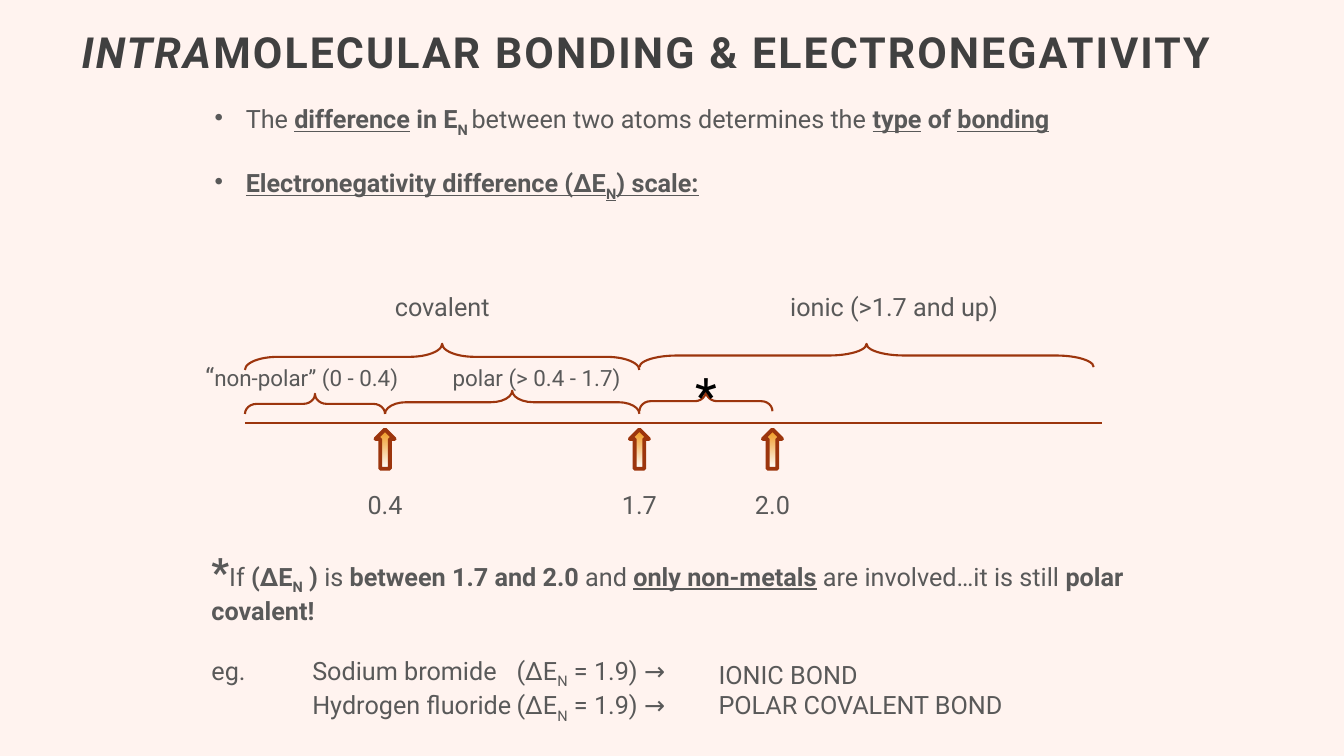
"""Builds a slide on electronegativity difference and bond type."""
from pptx import Presentation
from pptx.dml.color import RGBColor
from pptx.enum.shapes import MSO_CONNECTOR as Connector, MSO_SHAPE as Shape
from pptx.enum.text import MSO_ANCHOR as Anchor, MSO_AUTO_SIZE as AutoSize, PP_ALIGN as Align
from pptx.oxml.ns import qn
from pptx.util import Inches, Pt
from lxml.etree import SubElement

COLORS = {
    "background": "FFF3EF",
    "title": "404040",
    "text": "595959",
    "star": "000000",
    "line": "9C350D",
    "glow": "EF9316",
    "white": "FFFFFF",
}
COLUMNS, ROWS = 40, 22.5
BOLD = {"bold": True}
MARKED = {"bold": True, "underline": True}
SUBSCRIPT = {"baseline": -25}


def color(name):
    """Return the named colour."""
    return RGBColor.from_string(COLORS[name])


def write(paragraph, text, size=18, tint="text", bold=False, italic=False,
          underline=False, baseline=0, spacing=0):
    """Add one formatted run of text to a paragraph."""
    run = paragraph.add_run()
    run.text = text
    font = run.font
    font.name, font.size = "Roboto", Pt(size)
    font.bold, font.italic, font.underline = bold, italic, underline
    font.color.rgb = color(tint)
    properties = run._r.get_or_add_rPr()
    if baseline:
        properties.set("baseline", str(baseline * 1000))
    if spacing:
        properties.set("spc", str(int(spacing * 100)))


class SlideBuilder:
    """Draws styled elements on a slide measured in grid cells."""

    def __init__(self, presentation):
        """Add a title-only slide with a plain background."""
        self.column = presentation.slide_width / COLUMNS
        self.row = presentation.slide_height / ROWS
        self.slide = presentation.slides.add_slide(presentation.slide_layouts[5])
        fill = self.slide.background.fill
        fill.solid()
        fill.fore_color.rgb = color("background")

    def place(self, left, top, width, height):
        """Turn grid cells into slide lengths."""
        return (round(left * self.column), round(top * self.row),
                round(width * self.column), round(height * self.row))

    def title(self, runs, *cells):
        """Place and fill the title placeholder."""
        title = self.slide.shapes.title
        title.left, title.top, title.width, title.height = self.place(*cells)
        frame = title.text_frame
        frame.word_wrap, frame.auto_size = True, AutoSize.NONE
        frame.vertical_anchor = Anchor.MIDDLE
        paragraph = frame.paragraphs[0]
        paragraph.alignment, paragraph.line_spacing = Align.LEFT, 0.9
        for text, style in runs:
            write(paragraph, text, size=30.6, tint="title", bold=True, spacing=1.5, **style)

    def text(self, paragraphs, *cells, align=Align.LEFT, bullet=False, gaps=(), tabs=()):
        """Add a text box; gaps maps paragraph numbers to space before."""
        frame = self.slide.shapes.add_textbox(*self.place(*cells)).text_frame
        frame.word_wrap = True
        for number, runs in enumerate(paragraphs):
            paragraph = frame.paragraphs[0] if number == 0 else frame.add_paragraph()
            properties = paragraph._p.get_or_add_pPr()
            if bullet:
                properties.set("marL", str(Inches(0.31)))
                properties.set("indent", str(-Inches(0.31)))
                SubElement(properties, qn("a:buChar")).set("char", "•")
            if tabs:
                stops = SubElement(properties, qn("a:tabLst"))
                for stop in tabs:
                    position = str(round(stop * self.column))
                    SubElement(stops, qn("a:tab"), pos=position, algn="l")
            paragraph.alignment = align
            if number in gaps:
                paragraph.space_before = Pt(gaps[number])
            for text, style in runs:
                write(paragraph, text, **style)

    def label(self, text, center, top, width, **style):
        """Add a one-line centred label."""
        self.text([[(text, style)]], center - width / 2, top, width, 1.2, align=Align.CENTER)

    def axis(self, start, end, row):
        """Draw the horizontal scale line."""
        left, top, right, _ = self.place(start, row, end, 0)
        line = self.slide.shapes.add_connector(Connector.STRAIGHT, left, top, right, top)
        line.line.color.rgb, line.line.width = color("line"), Pt(1.5)
        SubElement(line._element.spPr, qn("a:effectLst"))

    def outlined(self, kind, weight, *cells):
        """Add a preset shape with the accent outline."""
        shape = self.slide.shapes.add_shape(kind, *self.place(*cells))
        shape.shadow.inherit = False
        shape.line.color.rgb, shape.line.width = color("line"), Pt(weight)
        return shape

    def brace(self, start, end, middle, depth):
        """Draw an upward brace over a range of columns."""
        span = end - start
        brace = self.outlined(Shape.RIGHT_BRACE, 1.5, (start + end - depth) / 2,
                              middle - span / 2, depth, span)
        brace.rotation = 270
        brace.fill.background()
        brace.adjustments[0] = span / depth / 12

    def arrow(self, center, top):
        """Draw an upward arrow that fades to white."""
        arrow = self.outlined(Shape.UP_ARROW, 2.75, center - 0.285, top, 0.57, 1.17)
        arrow.fill.gradient()
        arrow.fill.gradient_angle = 270
        for stop, name in zip(arrow.fill.gradient_stops, ("glow", "white")):
            stop.color.rgb = color(name)


def main():
    """Build and save the slide."""
    presentation = Presentation()
    presentation.slide_width, presentation.slide_height = Inches(13.333), Inches(7.5)
    builder = SlideBuilder(presentation)

    builder.title([("INTRA", {"italic": True}),
                   ("MOLECULAR BONDING & ELECTRONEGATIVITY", {})], 2.13, 0.69, 36.3, 1.86)
    builder.text([
        [("The ", {}), ("difference", MARKED), (" in E", BOLD), ("N ", BOLD | SUBSCRIPT),
         ("between two atoms determines the ", {}), ("type", MARKED), (" of ", BOLD),
         ("bonding", MARKED)],
        [("Electronegativity difference (ΔE", MARKED), ("N", MARKED | SUBSCRIPT),
         (") scale:", MARKED)],
    ], 6.09, 2.94, 26.7, 3.03, bullet=True, gaps={1: 21})

    zero, weak, strong, limit, end = 7.29, 11.46, 19.03, 22.99, 32.8
    builder.axis(zero, end, 12.6)
    for start, stop, middle, depth in ((zero, weak, 12.02, 0.6), (weak, strong, 11.97, 0.69),
                                       (strong, end - 0.25, 10.58, 0.69),
                                       (zero, strong, 10.62, 0.78),
                                       (strong, limit, 11.94, 0.6)):
        builder.brace(start, stop, middle, depth)

    builder.label("covalent", 13.16, 8.52, 6.4)
    builder.label("ionic (>1.7 and up)", 26.61, 8.52, 7.92)
    builder.text([[("“", {}), ("non-polar” (0 - 0.4)", {"size": 16})]],
                 5.49, 10.62, 6.99, 1.2, align=Align.CENTER)
    builder.label("polar (> 0.4 - 1.7)", 15.97, 10.68, 7.29, size=16)
    builder.label("*", 21.01, 10.68, 6.4, size=36, tint="star")
    for value, center in (("0.4", weak), ("1.7", strong), ("2.0", limit)):
        builder.arrow(center, 12.78)
        builder.label(value, center, 14.43, 6.4)

    examples = [[(f"{lead}\t{compound}\t(ΔE", {}), ("N", SUBSCRIPT), (" = 1.9) →", {})]
                for lead, compound in (("eg.", "Sodium bromide"), ("", "Hydrogen fluoride"))]
    builder.text([
        [("*", {"size": 28, "bold": True}), ("If ", {}), ("(ΔE", BOLD), ("N", BOLD | SUBSCRIPT),
         (" )", BOLD), (" is ", {}), ("between 1.7 and 2.0", BOLD), (" and ", {}),
         ("only non-metals", MARKED), (" are involved…it is still ", {}),
         ("polar covalent!", BOLD)],
        *examples,
    ], 6, 16.14, 28.65, 5.34, gaps={1: 21}, tabs=(3, 9.08))
    builder.text([[("IONIC BOND", {})], [("POLAR COVALENT BOND", {})]], 21.09, 19.47, 10.2, 2.13)

    presentation.save("out.pptx")


if __name__ == "__main__":
    main()
